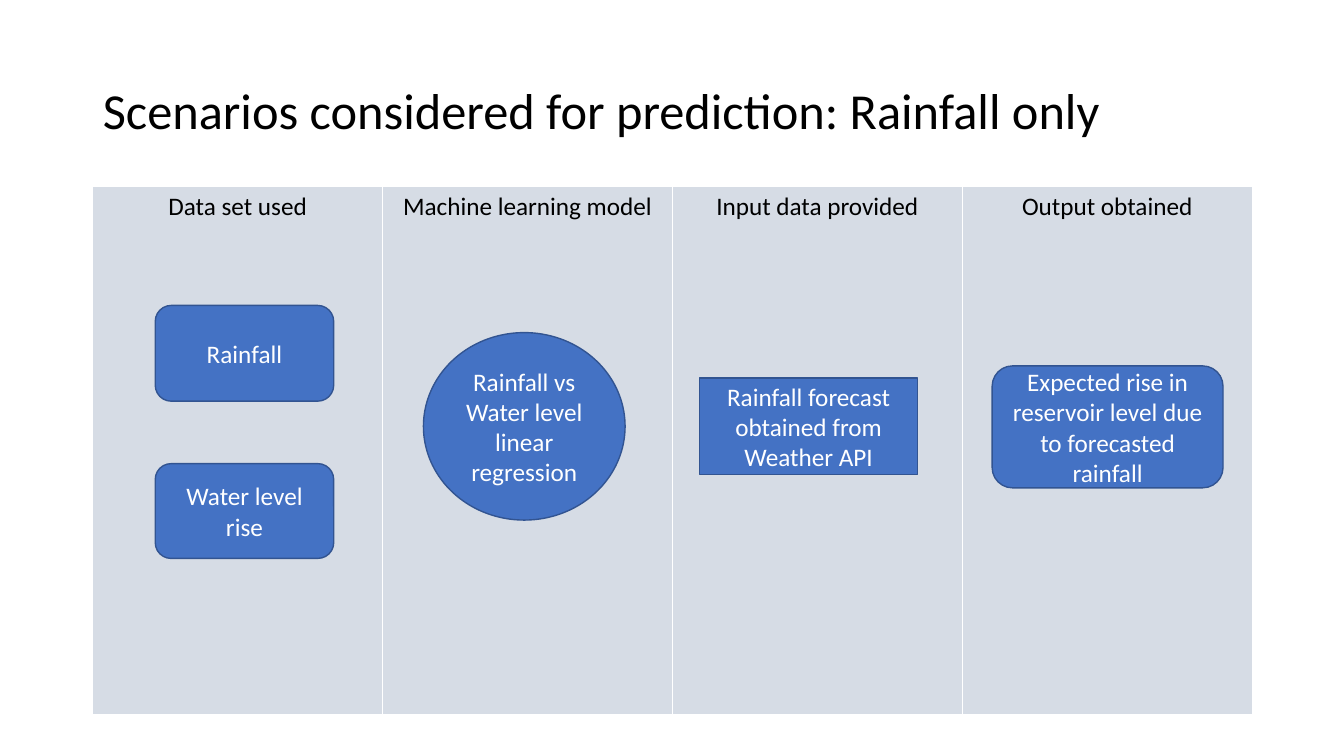
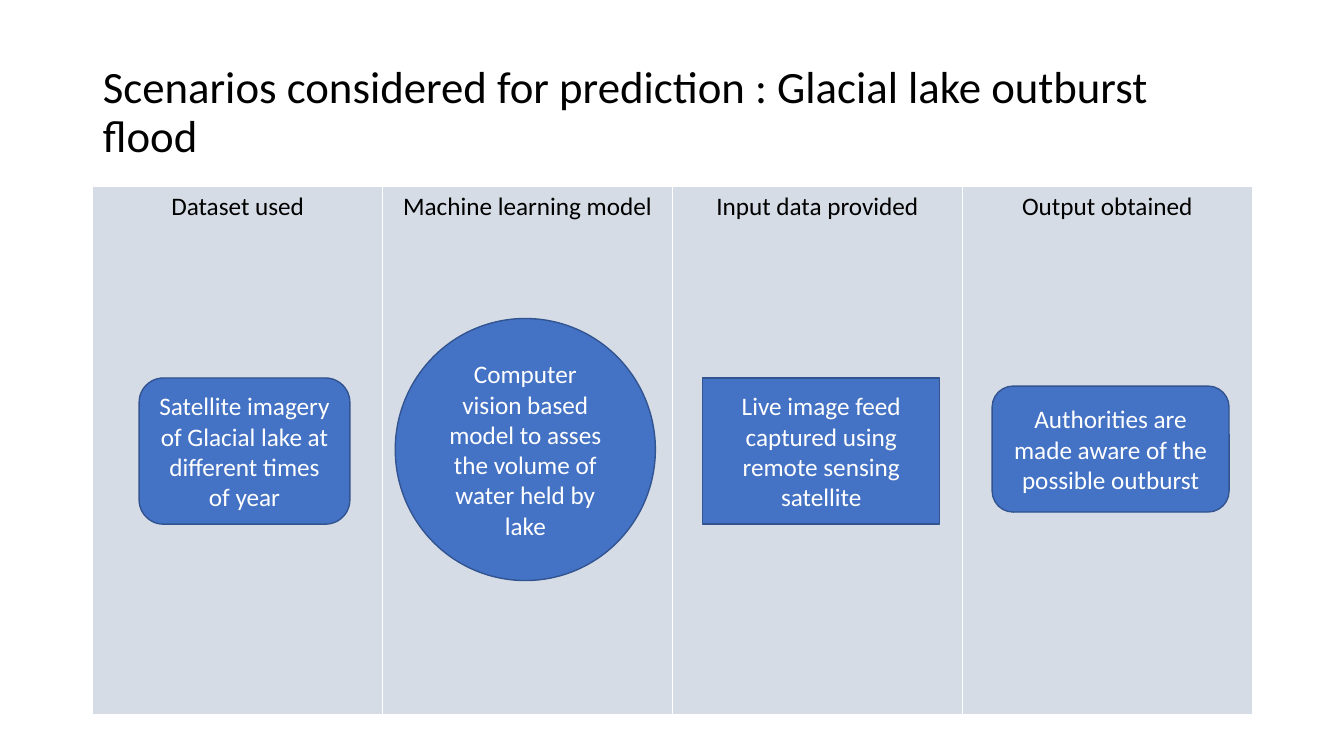
import pptx
import pptx.util
import pptx.dml.color
import pptx.enum.shapes
import pptx.enum.text
import pptx.oxml
import pptx.oxml.ns

Inches = pptx.util.Inches
Pt = pptx.util.Pt
ALIGN = pptx.enum.text.PP_ALIGN
MIDDLE = pptx.enum.text.MSO_ANCHOR.MIDDLE
SHAPE = pptx.enum.shapes.MSO_SHAPE

FONT = "Calibri"
COLORS = {
    "text": "000000",
    "panel": "D6DCE5",
    "border": "FFFFFF",
    "node": "4472C4",
    "outline": "325491",
    "node_text": "FFFFFF",
}
LEFT, WIDTH = 0.92, 11.5
BORDERS = {"lnL": 1, "lnR": 1, "lnT": 1, "lnB": 3}
COMMON_HEADINGS = ["Machine learning model", "Input data provided", "Output obtained"]

# Each node: preset shape, text, left, top, width, height
RAINFALL_NODES = [
    (SHAPE.ROUNDED_RECTANGLE, "Rainfall", 1.54, 3.03, 1.77, 0.95),
    (SHAPE.ROUNDED_RECTANGLE, "Water level rise", 1.54, 4.6, 1.77, 0.94),
    (SHAPE.OVAL, "Rainfall vs Water level linear regression", 4.2, 3.3, 2, 1.86),
    (SHAPE.RECTANGLE, "Rainfall forecast obtained from Weather API",
     6.94, 3.75, 2.16, 0.96),
    (SHAPE.ROUNDED_RECTANGLE,
     "Expected rise in reservoir level due to forecasted rainfall",
     9.84, 3.63, 2.29, 1.21),
]
GLACIAL_NODES = [
    (SHAPE.ROUNDED_RECTANGLE,
     "Satellite imagery of Glacial lake at different times of year",
     1.38, 3.75, 2.09, 1.45),
    (SHAPE.OVAL,
     "Computer vision based model to asses the volume of water held by lake",
     3.92, 3.16, 2.58, 2.6),
    (SHAPE.RECTANGLE, "Live image feed captured using remote sensing satellite",
     6.97, 3.75, 2.35, 1.45),
    (SHAPE.ROUNDED_RECTANGLE, "Authorities are made aware of the possible outburst",
     9.84, 3.83, 2.35, 1.25),
]


def rgb(name):
    return pptx.dml.color.RGBColor.from_string(COLORS[name])


def write_text(tf, text, size=18, color="text", align=ALIGN.CENTER, spacing=None):
    tf.word_wrap = True
    p = tf.paragraphs[0]
    p.alignment = align
    p.line_spacing = spacing
    r = p.add_run()
    r.text = text
    r.font.name = FONT
    r.font.size = Pt(size)
    r.font.color.rgb = rgb(color)


def set_title(s, text, size):
    sp = s.shapes.title
    sp.left, sp.top = Inches(LEFT), Inches(0.4)
    sp.width, sp.height = Inches(WIDTH), Inches(1.45)
    tf = sp.text_frame
    tf.auto_size = pptx.enum.text.MSO_AUTO_SIZE.NONE
    tf.vertical_anchor = MIDDLE
    write_text(tf, text, size=size, align=ALIGN.LEFT, spacing=0.9)


def set_borders(cell):
    tc_pr = cell._tc.get_or_add_tcPr()
    for tag, width in BORDERS.items():
        tc_pr.append(pptx.oxml.parse_xml(
            f'<a:{tag} {pptx.oxml.ns.nsdecls("a")} w="{Pt(width)}"><a:solidFill>'
            f'<a:srgbClr val="{COLORS["border"]}"/></a:solidFill></a:{tag}>'))


def add_columns(s, headings):
    """Add the one-row table whose cells are the stages of the scenario."""
    table = s.shapes.add_table(1, len(headings), Inches(LEFT), Inches(1.85),
                               Inches(WIDTH), Inches(5.25)).table
    table.first_row = False
    table.horz_banding = False
    for cell, heading in zip(table.rows[0].cells, headings):
        set_borders(cell)
        cell.fill.solid()
        cell.fill.fore_color.rgb = rgb("panel")
        write_text(cell.text_frame, heading)


def add_node(s, preset, text, left, top, width, height):
    sp = s.shapes.add_shape(preset, Inches(left), Inches(top),
                            Inches(width), Inches(height))
    sp.shadow.inherit = False
    sp.fill.solid()
    sp.fill.fore_color.rgb = rgb("node")
    sp.line.color.rgb = rgb("outline")
    sp.line.width = Pt(1)
    sp.text_frame.vertical_anchor = MIDDLE
    write_text(sp.text_frame, text, color="node_text")


def add_scenario(prs, title, size, first_heading, nodes):
    s = prs.slides.add_slide(prs.slide_layouts.get_by_name("Title Only"))
    set_title(s, title, size)
    add_columns(s, [first_heading] + COMMON_HEADINGS)
    for node in nodes:
        add_node(s, *node)


def main():
    prs = pptx.Presentation()
    prs.slide_width, prs.slide_height = Inches(13.33), Inches(7.5)
    add_scenario(prs, "Scenarios considered for prediction: Rainfall only", 36,
                 "Data set used", RAINFALL_NODES)
    add_scenario(prs, "Scenarios considered for prediction : Glacial lake outburst flood",
                 32, "Dataset used", GLACIAL_NODES)
    prs.save("out.pptx")


if __name__ == "__main__":
    main()
